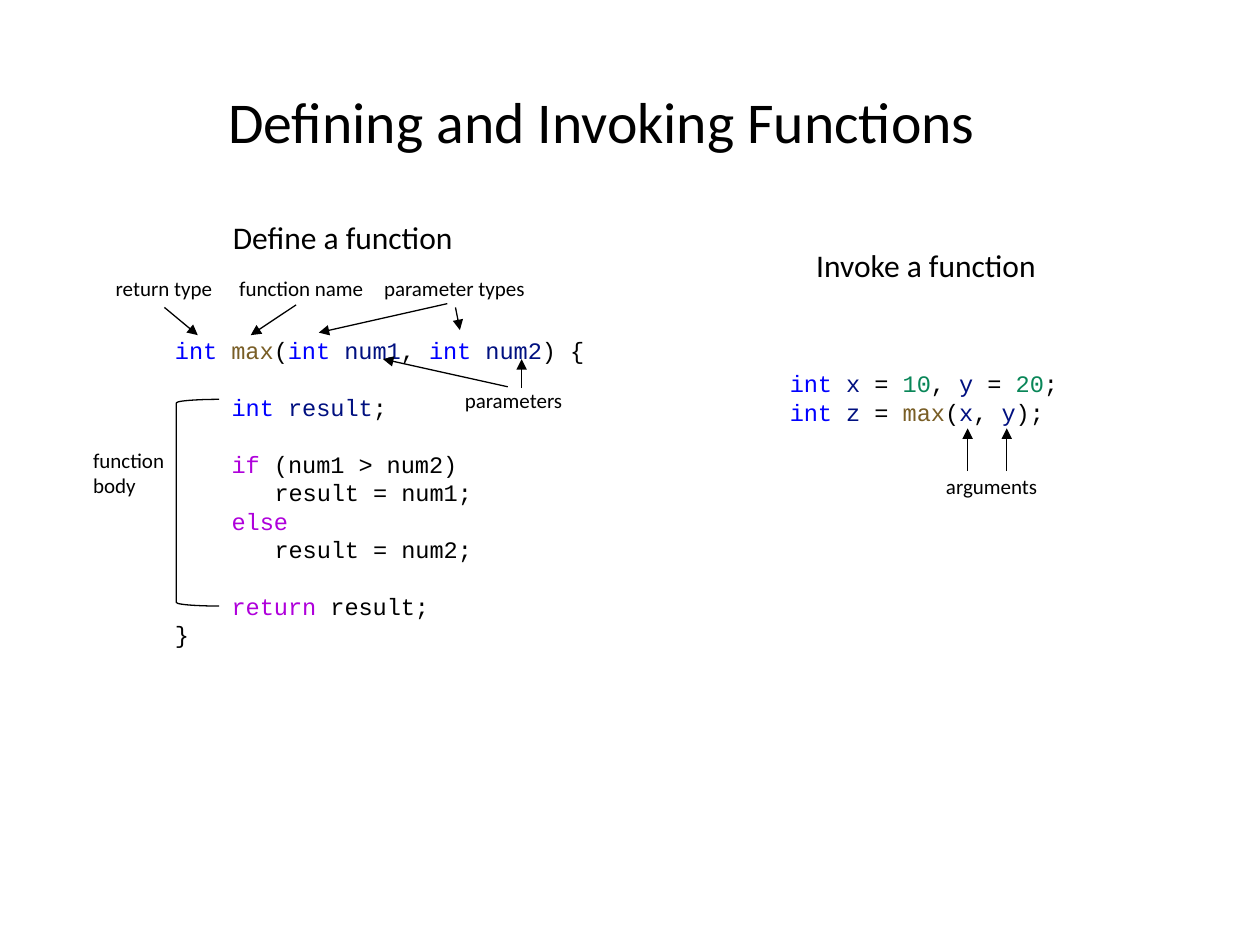
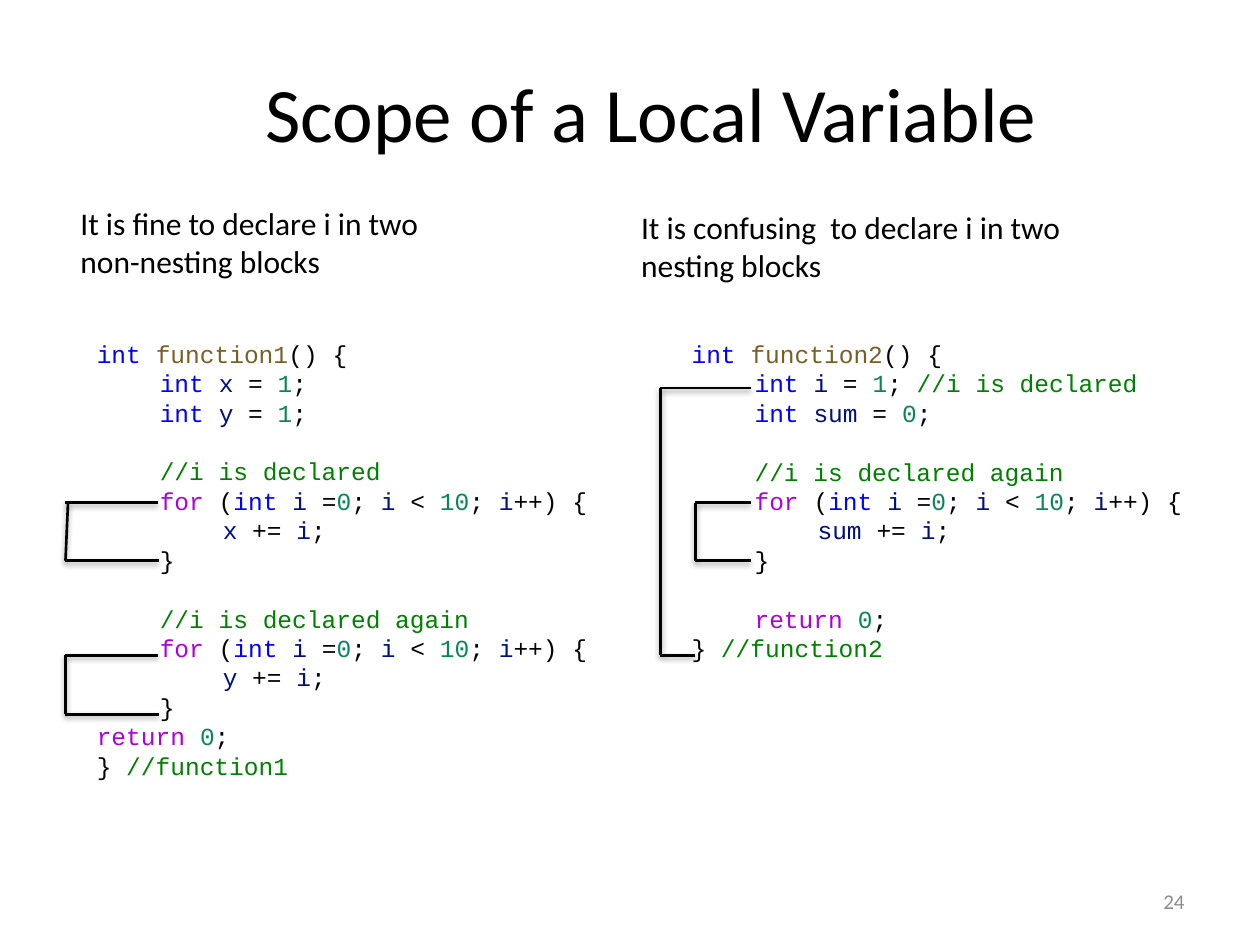
from lxml.etree import SubElement
from pptx import Presentation
from pptx.dml.color import RGBColor
from pptx.enum.shapes import MSO_CONNECTOR, MSO_SHAPE
from pptx.enum.text import MSO_ANCHOR, MSO_AUTO_SIZE, PP_ALIGN
from pptx.oxml.ns import qn
from pptx.util import Inches, Pt

BLACK = RGBColor(0x00, 0x00, 0x00)
GRAY = RGBColor(0x8C, 0x8C, 0x8C)
TYPE = RGBColor(0x00, 0x00, 0xFF)
FUNC = RGBColor(0x79, 0x5E, 0x26)
VAR = RGBColor(0x00, 0x10, 0x80)
NUM = RGBColor(0x09, 0x86, 0x58)
FLOW = RGBColor(0xAF, 0x00, 0xDB)
NOTE = RGBColor(0x00, 0x80, 0x00)

TEXT_FONT = "Calibri"
CODE_FONT = "Courier New"
CODE_LEADING = 1.2
BOTTOM_MIDDLE = 2

INT = ("int ", TYPE)
END = (";", BLACK)
COMMA = (", ", BLACK)
CLOSE = ("}", BLACK)
RETURN_ZERO = [("return ", FLOW), ("0", NUM), END]
FOR_HEAD = [("for", FLOW), (" (", BLACK), INT, ("i", VAR), (" =", BLACK),
            ("0", NUM), ("; ", BLACK), ("i", VAR), (" < ", BLACK),
            ("10", NUM), ("; ", BLACK), ("i", VAR), ("++) {", BLACK)]


def assign(name, value):
    return [(name, VAR), (" = ", BLACK), (value, NUM)]


def declare(name, value):
    return [INT, *assign(name, value), END]


def head(name):
    return [INT, (name, FUNC), ("() {", BLACK)]


def loop(comment, total):
    return [
        (0.5, True, [(comment, NOTE)]),
        (0.5, False, FOR_HEAD),
        (1, False, [(total, VAR), (" += ", BLACK), ("i", VAR), END]),
        (0.5, False, [CLOSE]),
    ]


def function_end(name):
    return [CLOSE, (" //" + name, NOTE)]


def add_run(p, text, size, color=BLACK, font=TEXT_FONT):
    r = p.add_run()
    r.text = text
    r.font.name = font
    r.font.size = Pt(size)
    r.font.color.rgb = color


def add_title(s, text, size, left, top, width, height):
    sp = s.shapes.title
    sp.left, sp.top = Inches(left), Inches(top)
    sp.width, sp.height = Inches(width), Inches(height)
    tf = sp.text_frame
    tf.vertical_anchor = MSO_ANCHOR.TOP
    tf.auto_size = MSO_AUTO_SIZE.NONE
    p = tf.paragraphs[0]
    p.alignment = PP_ALIGN.CENTER
    add_run(p, text, size)


def add_box(s, left, top, width, height, wrap):
    sp = s.shapes.add_textbox(Inches(left), Inches(top),
                              Inches(width), Inches(height))
    tf = sp.text_frame
    tf.word_wrap = wrap
    tf.auto_size = MSO_AUTO_SIZE.SHAPE_TO_FIT_TEXT
    return sp


def paragraphs(tf, lines):
    for i, line in enumerate(lines):
        yield tf.add_paragraph() if i else tf.paragraphs[0], line


def add_label(s, lines, size, left, top, width, height):
    sp = add_box(s, left, top, width, height, False)
    for p, line in paragraphs(sp.text_frame, lines):
        add_run(p, line, size)
    return sp


def add_code(s, lines, size, left, top, width, height, wrap=True):
    sp = add_box(s, left, top, width, height, wrap)
    leading = Pt(size * CODE_LEADING)
    for p, (indent, gap, runs) in paragraphs(sp.text_frame, lines):
        p.line_spacing = leading
        if gap:
            p.space_before = leading
        if indent:
            pPr = p._p.get_or_add_pPr()
            pPr.set("marL", str(Inches(indent)))
            pPr.set("indent", "0")
        for text, color in runs:
            add_run(p, text, size, color, CODE_FONT)


def add_line(s, start, end, weight):
    cx = s.shapes.add_connector(MSO_CONNECTOR.STRAIGHT,
                                *map(Inches, start + end))
    cx.line.color.rgb = BLACK
    cx.line.width = Pt(weight)
    effects = SubElement(cx._element.spPr, qn("a:effectLst"))
    return cx, effects


def add_arrow(s, start, end, label=None):
    cx, _ = add_line(s, start, end, 0.75)
    SubElement(cx.line._get_or_add_ln(), qn("a:tailEnd"), type="triangle")
    if label is not None:
        cx.begin_connect(label, BOTTOM_MIDDLE)


def add_scope_line(s, start, end):
    _, effects = add_line(s, start, end, 1.5)
    shadow = SubElement(effects, qn("a:outerShdw"), blurRad="40000",
                        dist="20000", dir="5400000", rotWithShape="0")
    color = SubElement(shadow, qn("a:srgbClr"), val=str(BLACK))
    SubElement(color, qn("a:alpha"), val="38000")


def add_scope(s, left, top, bottom, top_right, bottom_right, lean=0):
    add_scope_line(s, (top_right, top), (left, top))
    add_scope_line(s, (bottom_right, bottom), (left, bottom))
    add_scope_line(s, (left + lean, top), (left, bottom))


def add_body_bracket(s, left, top, width, height):
    sp = s.shapes.add_shape(MSO_SHAPE.LEFT_BRACKET, Inches(left), Inches(top),
                            Inches(width), Inches(height))
    sp.shadow.inherit = False
    sp.fill.background()
    sp.line.color.rgb = BLACK
    sp.line.width = Pt(0.75)


def add_slide_number(s, number):
    sp = add_box(s, 7.17, 6.95, 2.33, 0.4, True)
    tf = sp.text_frame
    tf.auto_size = MSO_AUTO_SIZE.NONE
    tf.vertical_anchor = MSO_ANCHOR.MIDDLE
    p = tf.paragraphs[0]
    p.alignment = PP_ALIGN.RIGHT
    add_run(p, number, 12, GRAY)


def build_functions(s):
    body, nested = 0.45, 0.79
    definition = [
        (0, False, [INT, ("max", FUNC), ("(", BLACK), INT, ("num1", VAR),
                    COMMA, INT, ("num2", VAR), (") {", BLACK)]),
        (body, True, [INT, ("result", VAR), END]),
        (body, True, [("if", FLOW), (" (num1 > num2)", BLACK)]),
        (nested, False, [("result = num1;", BLACK)]),
        (body, False, [("else", FLOW)]),
        (nested, False, [("result = num2;", BLACK)]),
        (body, True, [("return", FLOW), (" result;", BLACK)]),
        (0, False, [CLOSE]),
    ]
    call = [
        (0, False, [INT, *assign("x", "10"), COMMA, *assign("y", "20"), END]),
        (0, False, [INT, ("z", VAR), (" = ", BLACK), ("max", FUNC),
                    ("(", BLACK), ("x", VAR), COMMA, ("y", VAR),
                    (");", BLACK)]),
    ]
    add_title(s, "Defining and Invoking Functions", 33, 1.4, 0.63, 6.75, 0.94)
    add_code(s, definition, 13.5, 1.29, 2.62, 3.55, 2.6)
    add_code(s, call, 13.5, 6.17, 2.88, 2.37, 0.56, wrap=False)
    add_label(s, ["Define a function"], 18, 1.75, 1.68, 1.97, 0.4)
    add_label(s, ["Invoke a function"], 18, 6.38, 1.9, 1.97, 0.4)

    return_type = add_label(s, ["return type"], 12, 0.82, 2.14, 0.97, 0.3)
    add_label(s, ["function name"], 12, 1.8, 2.14, 1.2, 0.3)
    types = add_label(s, ["parameter types"], 12, 2.95, 2.14, 1.33, 0.3)
    add_label(s, ["parameters"], 12, 3.59, 3.03, 0.98, 0.3)
    add_label(s, ["function", "body"], 12, 0.64, 3.5, 0.81, 0.5)
    add_label(s, ["arguments"], 12, 7.41, 3.71, 0.93, 0.3)

    add_arrow(s, (1.31, 2.45), (1.57, 2.66), return_type)
    add_arrow(s, (2.35, 2.42), (1.99, 2.66))
    add_arrow(s, (3.55, 2.41), (2.53, 2.64))
    add_arrow(s, (3.61, 2.45), (3.65, 2.62), types)
    add_arrow(s, (4.03, 3.07), (3.04, 2.85))
    add_arrow(s, (4.14, 3.08), (4.14, 2.85))
    for x in (7.68, 7.99):
        add_arrow(s, (x, 3.74), (x, 3.4))
    add_body_bracket(s, 1.4, 3.17, 0.34, 1.64)


def build_scope(s):
    separate_blocks = [
        (0, False, head("function1")),
        (0.5, False, declare("x", "1")),
        (0.5, False, declare("y", "1")),
        *loop("//i is declared", "x"),
        *loop("//i is declared again", "y"),
        (0, False, RETURN_ZERO),
        (0, False, function_end("function1")),
    ]
    nested_blocks = [
        (0, False, head("function2")),
        (0.5, False, [*declare("i", "1"), (" //i is declared", NOTE)]),
        (0.5, False, declare("sum", "0")),
        *loop("//i is declared again", "sum"),
        (0.5, True, RETURN_ZERO),
        (0, False, function_end("function2")),
    ]
    add_slide_number(s, "24")
    add_title(s, "Scope of a Local Variable", 44, 0.67, 0.47, 9, 1.25)
    add_code(s, separate_blocks, 14, 0.67, 2.64, 4.13, 3.64)
    add_code(s, nested_blocks, 14, 5.39, 2.64, 4.11, 2.69)

    add_scope(s, 0.52, 3.99, 4.45, 1.25, 1.26, lean=0.02)
    add_scope(s, 0.52, 5.2, 5.67, 1.25, 1.26)
    add_scope(s, 5.24, 3.08, 5.2, 5.96, 5.52)
    add_scope(s, 5.52, 3.99, 4.45, 5.96, 5.96)

    add_label(s, ["It is fine to declare i in two", "non-nesting blocks"],
              18, 0.54, 1.57, 2.98, 0.71)
    add_label(s, ["It is confusing  to declare i in two", "nesting blocks"],
              18, 4.99, 1.6, 3.63, 0.71)


def main():
    prs = Presentation()
    prs.slide_width, prs.slide_height = Inches(10), Inches(7.5)
    title_only = prs.slide_layouts[5]
    for build in (build_functions, build_scope):
        build(prs.slides.add_slide(title_only))
    prs.save("out.pptx")


if __name__ == "__main__":
    main()
